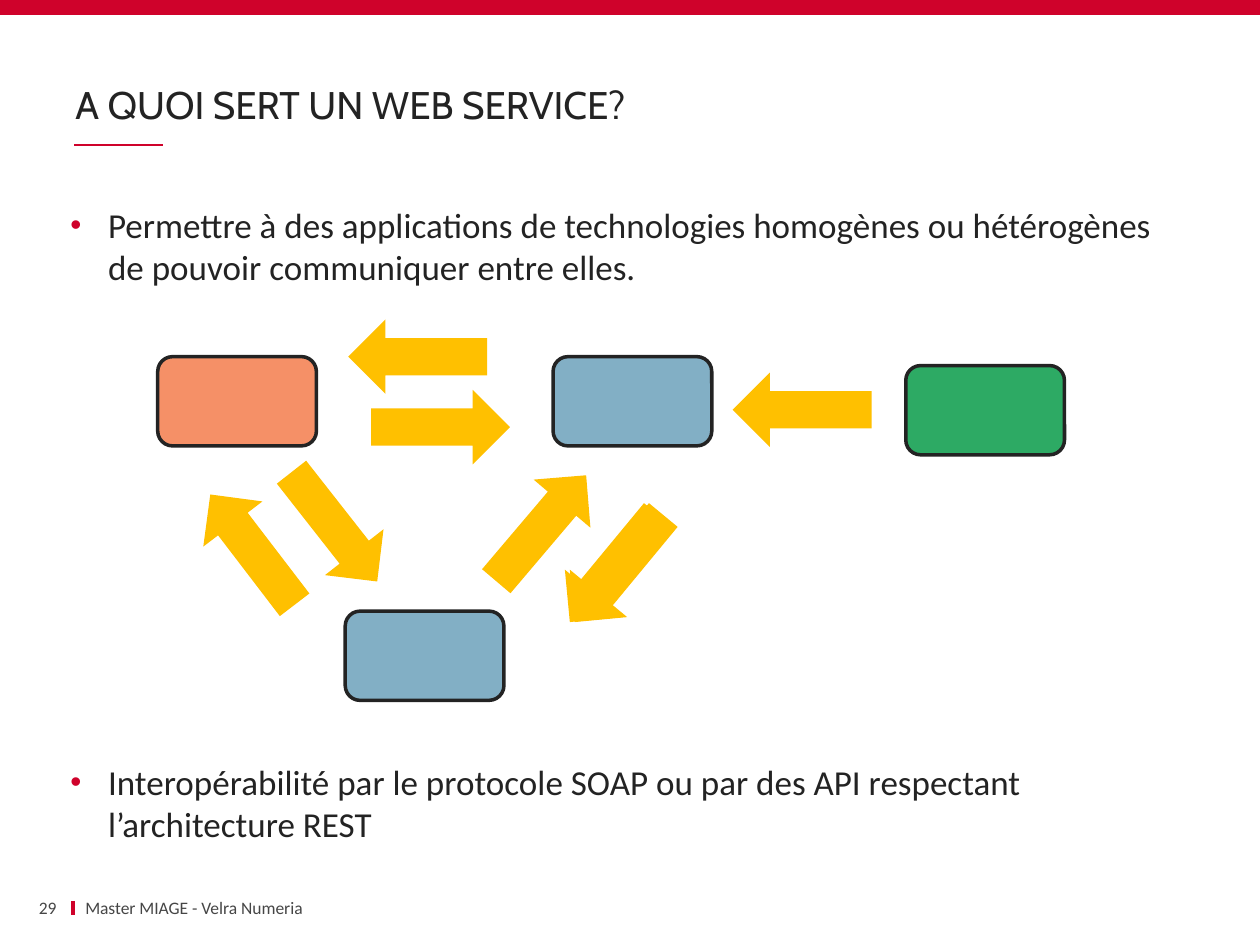
import pptx
import pptx.dml.color
import pptx.enum.shapes
import pptx.enum.text
import pptx.oxml
import pptx.oxml.ns
import pptx.util
from pptx.util import Cm

SHAPES = pptx.enum.shapes.MSO_SHAPE
ANCHORS = pptx.enum.text.MSO_ANCHOR
ALIGNMENTS = pptx.enum.text.PP_ALIGN

RED = "CF022B"
DARK = "232323"
GREY = "464646"
BLUE = "82AFC5"
YELLOW = "FFC000"

APPLICATIONS = [
    (3.18, 7.19, "F59067"),
    (11.15, 7.19, BLUE),
    (6.96, 12.32, BLUE),
    (18.26, 7.37, "2DAA64"),
]
EXCHANGES = [
    (4.34, 9.68, 322.6),
    (5.99, 9.22, 141.9),
    (10.16, 9.25, 40.3),
    (11.63, 10.06, 219.6),
    (7.67, 5.79, 270),
    (8.13, 7.21, 90),
    (11.73, 10.06, 219.6),
    (15.42, 6.86, 270),
]
BULLETS = [
    "Permettre à des applications de technologies homogènes ou hétérogènes de pouvoir communiquer entre elles.",
    "Interopérabilité par le protocole SOAP ou par des API respectant l’architecture REST",
]


def color(value):
    return pptx.dml.color.RGBColor.from_string(value)


def set_attributes(target, values):
    for name, value in values.items():
        setattr(target, name, value)


def add_filled_shape(slide, kind, left, top, width, height, fill, outline=None, rotation=0):
    shape = slide.shapes.add_shape(kind, Cm(left), Cm(top), Cm(width), Cm(height))
    shape.shadow.inherit = False
    shape.rotation = rotation
    shape.fill.solid()
    shape.fill.fore_color.rgb = color(fill)
    if outline:
        shape.line.color.rgb = color(outline)
        shape.line.width = pptx.util.Pt(2)
    else:
        shape.line.fill.background()


def add_rule(slide, start_x, start_y, end_x, end_y, width):
    connector = slide.shapes.add_connector(
        pptx.enum.shapes.MSO_CONNECTOR.STRAIGHT,
        Cm(start_x), Cm(start_y), Cm(end_x), Cm(end_y),
    )
    connector.line.color.rgb = color(RED)
    connector.line.width = pptx.util.Pt(width)
    properties = connector.element.find(pptx.oxml.ns.qn("p:spPr"))
    properties.append(pptx.oxml.parse_xml(f"<a:effectLst {pptx.oxml.ns.nsdecls('a')}/>"))


def add_bullet(paragraph):
    properties = paragraph._p.get_or_add_pPr()
    properties.set("marL", str(Cm(0.76)))
    properties.set("indent", str(-Cm(0.76)))
    elements = [
        f'<a:buClr {{}}><a:srgbClr val="{RED}"/></a:buClr>',
        '<a:buSzPct {} val="90000"/>',
        '<a:buFont {} typeface="Arial"/>',
        '<a:buChar {} char="•"/>',
    ]
    for element in elements:
        namespace = pptx.oxml.ns.nsdecls("a")
        properties.append(pptx.oxml.parse_xml(element.format(namespace)))


def add_text(slide, box, texts, font, size, text_color, frame_format,
             paragraph_format=None, bulleted=False, gap=0):
    text_box = slide.shapes.add_textbox(*(Cm(length) for length in box))
    frame = text_box.text_frame
    set_attributes(frame, {"word_wrap": True, **frame_format})
    for index, text in enumerate(texts):
        paragraph = frame.add_paragraph() if index else frame.paragraphs[0]
        paragraph.text = text
        if bulleted:
            add_bullet(paragraph)
        if index:
            paragraph.space_before = pptx.util.Pt(gap)
        set_attributes(paragraph, paragraph_format or {})
        set_attributes(paragraph.font, {"name": font, "size": pptx.util.Pt(size)})
        paragraph.font.color.rgb = color(text_color)


def add_frame(slide):
    flat = {"margin_left": 0, "margin_right": 0}
    middle = {"vertical_anchor": ANCHORS.MIDDLE}
    add_rule(slide, 1.47, 18.16, 1.47, 18.44, 2.25)
    add_rule(slide, 1.5, 2.92, 3.28, 2.92, 1)
    add_filled_shape(slide, SHAPES.RECTANGLE, 0, 0, 25.4, 0.3, RED)
    add_text(slide, (1.52, 0.53, 22.35, 2.18), ["A QUOI SERT UN WEB SERVICE?"],
             "Cabin", 22, DARK, {**flat, "vertical_anchor": ANCHORS.BOTTOM},
             {"line_spacing": 0.9})
    add_text(slide, (1.47, 18.06, 12.62, 0.46), ["Master MIAGE - Velra Numeria"],
             "Calibri", 10, GREY, middle)
    add_text(slide, (0.33, 18.06, 0.81, 0.46), ["29"], "Calibri", 10, GREY,
             {**flat, **middle}, {"alignment": ALIGNMENTS.RIGHT})


def add_body(slide):
    margins = dict.fromkeys(("margin_left", "margin_right", "margin_top", "margin_bottom"), 0)
    add_text(slide, (1.42, 4.11, 22.48, 13), BULLETS, "Calibri", 20, DARK,
             margins, bulleted=True, gap=270)


def add_diagram(slide):
    for left, top, fill in APPLICATIONS:
        add_filled_shape(slide, SHAPES.ROUNDED_RECTANGLE, left, top, 3.2, 1.8, fill, DARK)
    for left, top, rotation in EXCHANGES:
        add_filled_shape(slide, SHAPES.UP_ARROW, left, top, 1.5, 2.8, YELLOW, rotation=rotation)


def main():
    presentation = pptx.Presentation()
    presentation.slide_width = Cm(25.4)
    presentation.slide_height = Cm(19.05)
    slide = presentation.slides.add_slide(presentation.slide_layouts[6])
    add_frame(slide)
    add_body(slide)
    add_diagram(slide)
    presentation.save("out.pptx")


if __name__ == "__main__":
    main()
